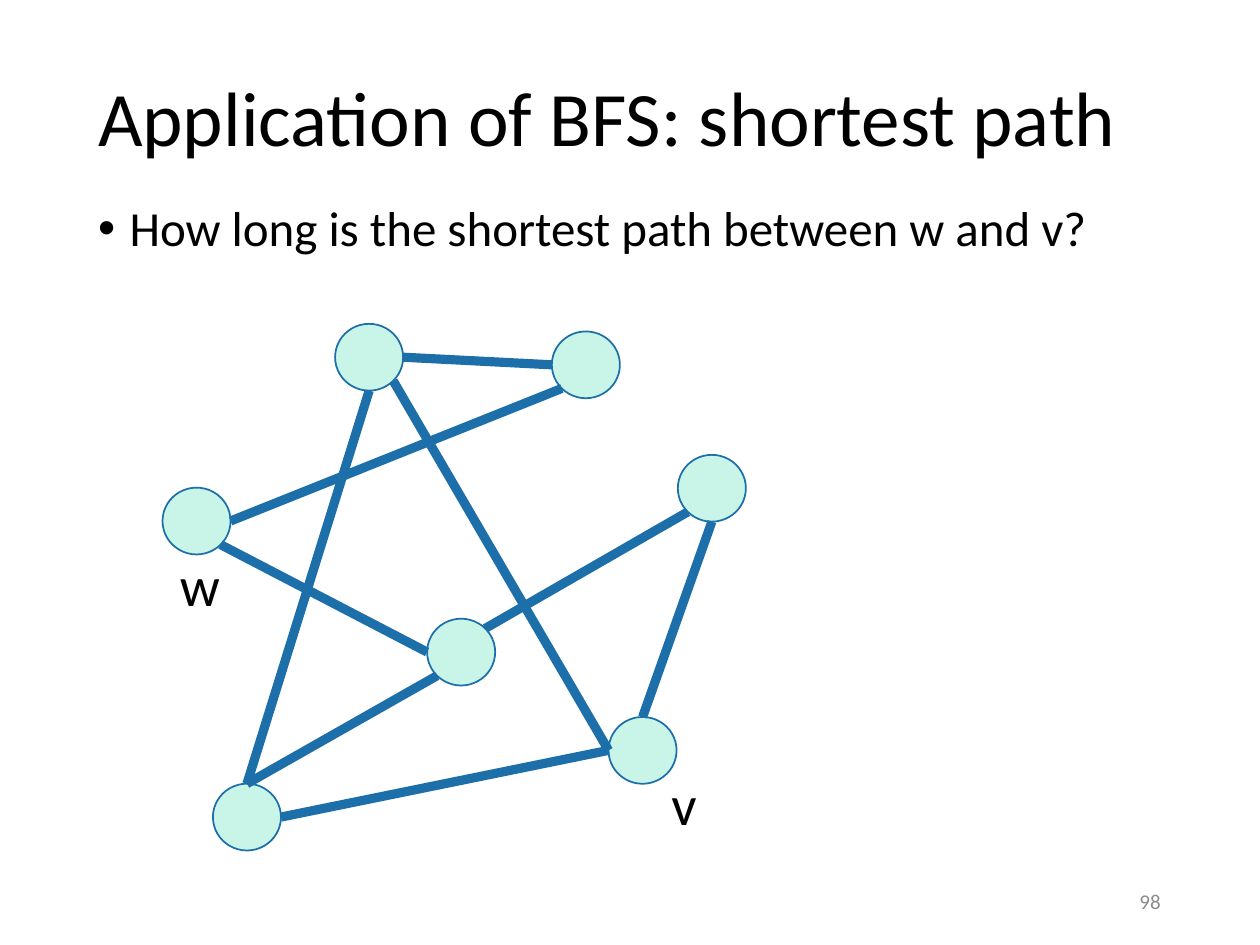
import math
from lxml import etree
from pptx import Presentation
from pptx import util as u
from pptx.dml.color import RGBColor
from pptx.enum import shapes, text
from pptx.oxml.ns import qn

WIDTH, HEIGHT = 10, 7.5
FONT, BLACK, GREY = "Calibri", "000000", "8C8C8C"
NODE_FILL, EDGE = "C8F5E8", "1D6FA9"
NODE_W, NODE_H = 5.4, 7.07

NODES = {
    "w": (12.9, 51.6),
    "top left": (26.6, 34.27),
    "centre": (33.9, 65.47),
    "bottom left": (16.9, 82.93),
    "top right": (43.8, 35.07),
    "v": (48.3, 75.87),
    "right": (53.8, 48.13),
}
ANGLES = {"E": 0, "SE": 45, "S": 90, "SW": 135, "W": 180, "N": 270, "NE": 315}
EDGES = [
    ("bottom left", "N", "centre", "SW"),
    ("bottom left", "N", "top left", "S"),
    ("centre", "W", "w", "SE"),
    ("v", "W", "top left", "SE"),
    ("v", "N", "right", "S"),
    ("centre", "NE", "right", "SW"),
    ("v", "W", "bottom left", "E"),
    ("top right", "SW", "w", "E"),
    ("top right", "W", "top left", "E"),
]
LABELS = {"w": (13.3, 57.6), "v": (52.3, 80.8)}


def color(value):
    return RGBColor.from_string(value)


def across(share):
    return u.Inches(WIDTH * share / 100)


def down(share):
    return u.Inches(HEIGHT * share / 100)


def place(x, y, w, h):
    return across(x), down(y), across(w), down(h)


def set_all(target, values):
    for name, value in values.items():
        setattr(target, name, value)


def add_text(s, box, words, size, fill=BLACK, frame=None, para=None, bullet=False):
    tf = s.shapes.add_textbox(*place(*box)).text_frame
    set_all(tf, {"word_wrap": True, **(frame or {})})
    p = tf.paragraphs[0]
    if bullet:
        pPr = p._p.get_or_add_pPr()
        pPr.set("marL", str(u.Inches(0.25)))
        pPr.set("indent", str(-u.Inches(0.25)))
        etree.SubElement(pPr, qn("a:buFont")).set("typeface", "Arial")
        etree.SubElement(pPr, qn("a:buChar")).set("char", "•")
    set_all(p, para or {})
    r = p.add_run()
    r.text = words
    set_all(r.font, {"name": FONT, "size": u.Pt(size)})
    r.font.color.rgb = color(fill)


def add_node(s, x, y):
    sp = s.shapes.add_shape(shapes.MSO_SHAPE.OVAL, *place(x, y, NODE_W, NODE_H))
    sp.shadow.inherit = False
    sp.fill.solid()
    sp.fill.fore_color.rgb = color(NODE_FILL)
    sp.line.color.rgb = color(EDGE)
    sp.line.width = u.Pt(1)


def rim(node, side):
    x, y = NODES[node]
    a = math.radians(ANGLES[side])
    return (across(x + NODE_W / 2 * (1 + math.cos(a))),
            down(y + NODE_H / 2 * (1 + math.sin(a))))


def add_edge(s, start, start_side, end, end_side):
    sp = s.shapes.add_connector(shapes.MSO_CONNECTOR.STRAIGHT,
                                *rim(start, start_side), *rim(end, end_side))
    sp.line.color.rgb = color(EDGE)
    sp.line.width = u.Pt(5.25)
    etree.SubElement(sp._element.spPr, qn("a:effectLst"))


def main():
    prs = Presentation()
    set_all(prs, {"slide_width": u.Inches(WIDTH), "slide_height": u.Inches(HEIGHT)})
    s = prs.slides.add_slide(prs.slide_layouts[6])
    middle = {"vertical_anchor": text.MSO_ANCHOR.MIDDLE}
    add_text(s, (6.8, 3.2, 86.2, 19.33), "Application of BFS: shortest path", 44,
             frame=middle, para={"line_spacing": 0.9})
    for spot in NODES.values():
        add_node(s, *spot)
    for edge in EDGES:
        add_edge(s, *edge)
    for name, spot in LABELS.items():
        add_text(s, (*spot, 8.6, 7.2), name, 32)
    add_text(s, (6.8, 20.93, 82.5, 63.47),
             "How long is the shortest path between w and v?", 28,
             para={"line_spacing": 0.9}, bullet=True)
    add_text(s, (70.6, 92.67, 22.5, 5.33), "98", 12, GREY,
             frame=middle, para={"alignment": text.PP_ALIGN.RIGHT})
    prs.save("out.pptx")


if __name__ == "__main__":
    main()
